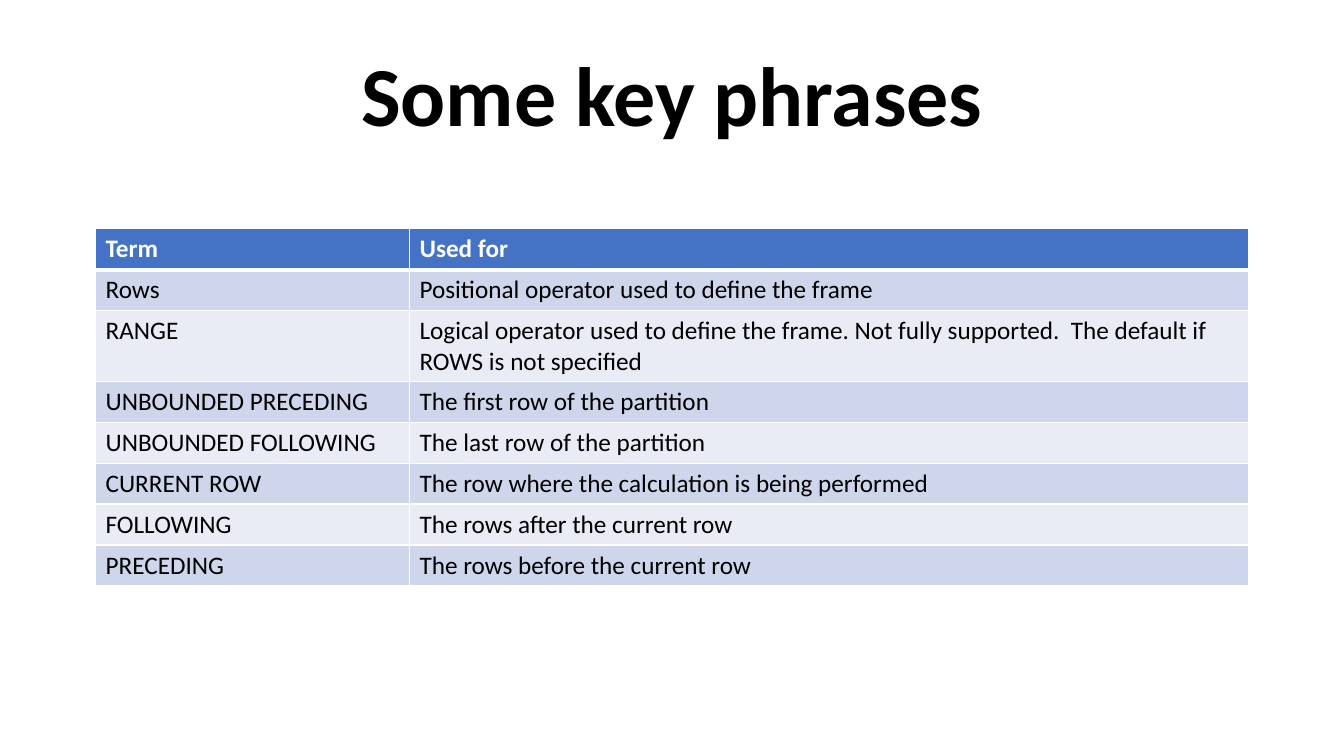
from dataclasses import dataclass

import pptx
import pptx.dml.color
import pptx.enum.text
import pptx.oxml
import pptx.oxml.ns
import pptx.util

EMU_PER_PX = 9525  # 96 px to the inch


@dataclass(frozen=True)
class Theme:
    font: str = "Calibri"
    title_size: int = 60
    table_size: int = 18
    text: str = "000000"
    header_text: str = "FFFFFF"
    header_fill: str = "4472C4"
    bands: tuple = ("CFD5EA", "E9EBF5")
    border: str = "FFFFFF"
    border_width: int = 1
    header_rule_width: int = 3


THEME = Theme()

TERMS = [
    ("Term", "Used for"),
    ("Rows", "Positional operator used to define the frame"),
    ("RANGE", "Logical operator used to define the frame. "
              "Not fully supported.  The default if ROWS is not specified"),
    ("UNBOUNDED PRECEDING", "The first row of the partition"),
    ("UNBOUNDED FOLLOWING", "The last row of the partition"),
    ("CURRENT ROW", "The row where the calculation is being performed"),
    ("FOLLOWING", "The rows after the current row"),
    ("PRECEDING", "The rows before the current row"),
]


def px(length):
    return pptx.util.Emu(length * EMU_PER_PX)


def rgb(color):
    return pptx.dml.color.RGBColor.from_string(color)


def style_paragraph(para, size, color, bold):
    para.font.name = THEME.font
    para.font.size = pptx.util.Pt(size)
    para.font.color.rgb = rgb(color)
    para.font.bold = bold


def set_title(slide, text, left, top, width, height):
    title = slide.shapes.title
    title.left, title.top = px(left), px(top)
    title.width, title.height = px(width), px(height)
    frame = title.text_frame
    frame.text = text
    frame.word_wrap = True
    frame.auto_size = pptx.enum.text.MSO_AUTO_SIZE.SHAPE_TO_FIT_TEXT
    frame.vertical_anchor = pptx.enum.text.MSO_ANCHOR.MIDDLE
    para = frame.paragraphs[0]
    para.alignment = pptx.enum.text.PP_ALIGN.CENTER
    style_paragraph(para, THEME.title_size, THEME.text, True)


def set_borders(cell, top, bottom):
    """Draw the four cell edges; they must precede the fill in the XML."""
    properties = cell._tc.get_or_add_tcPr()
    side = THEME.border_width
    for edge, width in (("L", side), ("R", side), ("T", top), ("B", bottom)):
        properties.append(pptx.oxml.parse_xml(
            f'<a:ln{edge} {pptx.oxml.ns.nsdecls("a")} w="{pptx.util.Pt(width)}">'
            f'<a:solidFill><a:srgbClr val="{THEME.border}"/></a:solidFill>'
            f'</a:ln{edge}>'))


def fill_cell(cell, text, row_index):
    is_header = row_index == 0
    thin, thick = THEME.border_width, THEME.header_rule_width
    set_borders(cell, thick if row_index == 1 else thin,
                thick if is_header else thin)
    cell.fill.solid()
    band = THEME.bands[(row_index - 1) % len(THEME.bands)]
    cell.fill.fore_color.rgb = rgb(THEME.header_fill if is_header else band)
    cell.text = text
    style_paragraph(cell.text_frame.paragraphs[0], THEME.table_size,
                    THEME.header_text if is_header else THEME.text, is_header)


def add_term_table(slide, rows, left, top, column_widths, row_height):
    table = slide.shapes.add_table(
        len(rows), len(column_widths), px(left), px(top),
        px(sum(column_widths)), px(row_height * len(rows))).table
    for column, width in zip(table.columns, column_widths):
        column.width = px(width)
    for row_index, texts in enumerate(rows):
        for column_index, text in enumerate(texts):
            fill_cell(table.cell(row_index, column_index), text, row_index)


def main():
    deck = pptx.Presentation()
    deck.slide_width, deck.slide_height = px(1280), px(720)
    slide = deck.slides.add_slide(deck.slide_layouts.get_by_name("Title Only"))

    # Heading across the full width
    set_title(slide, "Some key phrases", 0, 35, 1280, 107)

    # Terms and their uses
    add_term_table(slide, TERMS, 91, 218, (299, 799), 39)

    deck.save("out.pptx")


if __name__ == "__main__":
    main()
